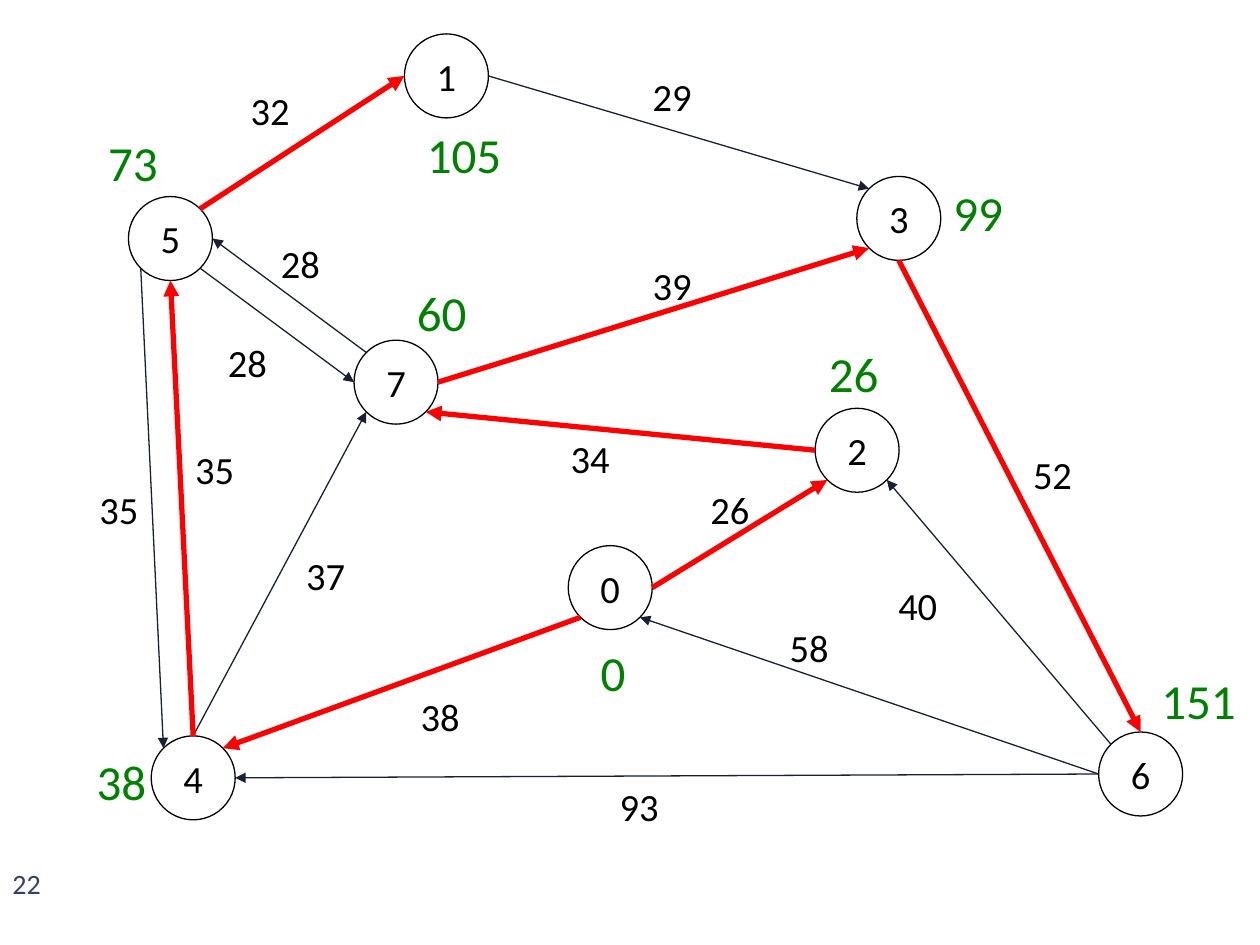
from enum import IntEnum
from math import cos, pi, sin

from lxml.etree import SubElement
from pptx import Presentation
from pptx.dml.color import RGBColor
from pptx.enum.shapes import MSO_CONNECTOR, MSO_SHAPE
from pptx.enum.text import MSO_ANCHOR, MSO_AUTO_SIZE, PP_ALIGN
from pptx.oxml.ns import qn
from pptx.util import Pt

WHITE = RGBColor(255, 255, 255)
BLACK = RGBColor(0, 0, 0)
NAVY = RGBColor(0x1A, 0x20, 0x34)
SLATE = RGBColor(0x34, 0x40, 0x68)
RED = RGBColor(255, 0, 0)
GREEN = RGBColor(0, 0x80, 0)

DIAMETER = 48
PLAIN = {"color": NAVY, "width": 0.75}
TREE = {"color": RED, "width": 3}
NODE_FONT = {"name": "Calibri", "size": Pt(22), "color": BLACK}
DISTANCE_FONT = {"name": "Calibri", "size": Pt(28), "color": GREEN}
NUMBER_FONT = {"name": "Calibri", "size": Pt(16), "color": SLATE}


class Site(IntEnum):
    """Connection sites of an ellipse, counterclockwise from the top."""
    TOP = 0
    TOP_LEFT = 1
    LEFT = 2
    BOTTOM_LEFT = 3
    BOTTOM = 4
    BOTTOM_RIGHT = 5
    RIGHT = 6
    TOP_RIGHT = 7


# vertex: (left, top), shortest distance, (left, top) of the distance
VERTICES = {
    0: ((324.7, 311.8), 0, (336.2, 363.6)),
    3: ((489.6, 100.8), 99, (537.8, 100.8)),
    4: ((86.4, 420.5), 38, (48.2, 426.2)),
    2: ((465.8, 233.3), 26, (466.6, 193)),
    5: ((73.4, 112.3), 73, (54.7, 72)),
    6: ((627.8, 418.3), 151, (656.6, 379.4)),
    1: ((231.1, 19.4), 105, (236.9, 67.7)),
    7: ((202.3, 194.4), 60, (231.1, 157.7)),
}

# from, site, to, site, style, weight, (left, top) of the weight
EDGES = [
    (6, Site.LEFT, 4, Site.RIGHT, PLAIN, 93, (347, 444.2)),
    (6, Site.LEFT, 0, Site.BOTTOM_RIGHT, PLAIN, 58, (444.2, 352.8)),
    (6, Site.TOP_LEFT, 2, Site.BOTTOM_RIGHT, PLAIN, 40, (506.2, 329)),
    (3, Site.BOTTOM, 6, Site.TOP, TREE, 52, (583.2, 254.2)),
    (0, Site.RIGHT, 2, Site.BOTTOM_LEFT, TREE, 26, (398.9, 274.3)),
    (2, Site.LEFT, 7, Site.BOTTOM_RIGHT, TREE, 34, (319, 244.8)),
    (7, Site.RIGHT, 3, Site.BOTTOM_LEFT, TREE, 39, (365.8, 146.2)),
    (0, Site.BOTTOM_LEFT, 4, Site.TOP_RIGHT, TREE, 38, (233.3, 392.4)),
    (4, Site.TOP, 7, Site.BOTTOM_LEFT, PLAIN, 37, (167.8, 311.8)),
    (4, Site.TOP, 5, Site.BOTTOM, TREE, 35, (104.4, 251.3)),
    (5, Site.BOTTOM_LEFT, 4, Site.TOP_LEFT, PLAIN, 35, (49.7, 274.3)),
    (7, Site.TOP_LEFT, 5, Site.RIGHT, PLAIN, 28, (153.4, 133.9)),
    (5, Site.BOTTOM_RIGHT, 7, Site.LEFT, PLAIN, 28, (123.1, 190.1)),
    (5, Site.TOP_RIGHT, 1, Site.LEFT, TREE, 32, (136.1, 46.1)),
    (1, Site.RIGHT, 3, Site.TOP_LEFT, PLAIN, 29, (365.8, 38.2)),
]


def write(frame, text, font):
    span = frame.paragraphs[0].add_run()
    span.text = str(text)
    for key, value in font.items():
        if key == "color":
            span.font.color.rgb = value
        else:
            setattr(span.font, key, value)


def add_text(page, text, position, size, font):
    box = page.shapes.add_textbox(*map(Pt, position + size))
    box.text_frame.word_wrap = False
    box.text_frame.auto_size = MSO_AUTO_SIZE.SHAPE_TO_FIT_TEXT
    write(box.text_frame, text, font)


def add_node(page, name, position):
    node = page.shapes.add_shape(
        MSO_SHAPE.OVAL, *map(Pt, position), Pt(DIAMETER), Pt(DIAMETER))
    node.shadow.inherit = False
    node.fill.solid()
    node.fill.fore_color.rgb = WHITE
    node.line.color.rgb = BLACK
    node.line.width = Pt(0.75)
    frame = node.text_frame
    frame.word_wrap = False
    frame.vertical_anchor = MSO_ANCHOR.MIDDLE
    frame.paragraphs[0].alignment = PP_ALIGN.CENTER
    write(frame, name, NODE_FONT)
    return node


def site_point(node, site):
    angle = site * pi / 4
    radius = node.width / 2
    return (int(node.left + radius * (1 - sin(angle))),
            int(node.top + radius * (1 - cos(angle))))


def add_edge(page, start, start_site, end, end_site, style):
    """Join two nodes; begin_connect knows only four sites, an ellipse has eight."""
    edge = page.shapes.add_connector(
        MSO_CONNECTOR.STRAIGHT,
        *site_point(start, start_site), *site_point(end, end_site))
    edge.line.color.rgb = style["color"]
    edge.line.width = Pt(style["width"])
    properties = edge._element.spPr
    SubElement(properties.find(qn("a:ln")), qn("a:tailEnd"), type="triangle")
    SubElement(properties, qn("a:effectLst"))
    joints = edge._element.find(".//" + qn("p:cNvCxnSpPr"))
    for tag, node, site in (("a:stCxn", start, start_site),
                            ("a:endCxn", end, end_site)):
        SubElement(joints, qn(tag), id=str(node.shape_id), idx=str(int(site)))


def main():
    deck = Presentation()
    deck.slide_width, deck.slide_height = Pt(720), Pt(540)
    page = deck.slides.add_slide(deck.slide_layouts[6])
    add_text(page, 22, (0, 491.8), (41.8, 30.2), NUMBER_FONT)

    nodes = {name: add_node(page, name, position)
             for name, (position, _, _) in VERTICES.items()}
    for start, start_site, end, end_site, style, weight, position in EDGES:
        add_edge(page, nodes[start], start_site, nodes[end], end_site, style)
        add_text(page, weight, position, (36.7, 33.8), NODE_FONT)
    for _, distance, position in VERTICES.values():
        width = 14.4 * (1 + len(str(distance)))
        add_text(page, distance, position, (width, 41), DISTANCE_FONT)

    deck.save("out.pptx")


if __name__ == "__main__":
    main()
